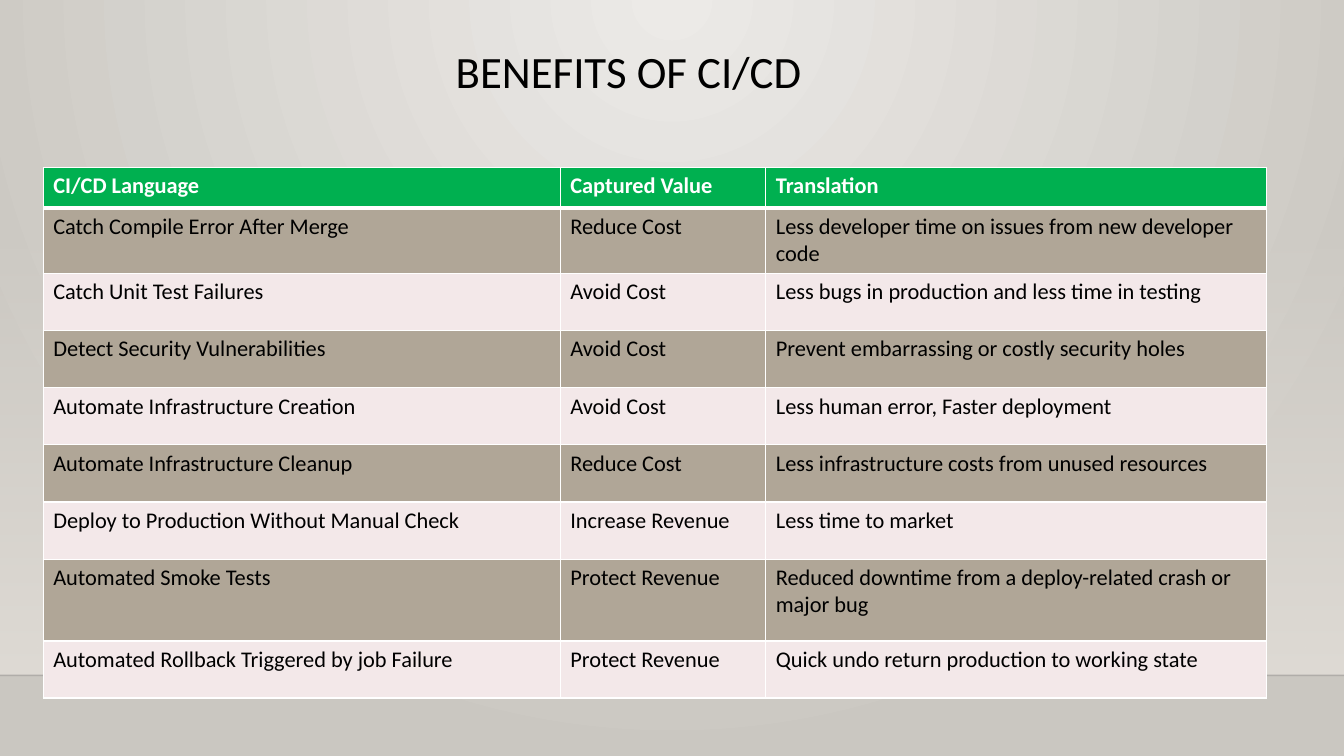
from lxml import etree
from pptx import Presentation
from pptx.dml.color import RGBColor
from pptx.enum.shapes import MSO_CONNECTOR, MSO_SHAPE
from pptx.enum.text import MSO_ANCHOR, MSO_AUTO_SIZE, PP_ALIGN
from pptx.oxml.ns import qn
from pptx.util import Cm, Pt

LINE = MSO_CONNECTOR.STRAIGHT
RECT = MSO_SHAPE.RECTANGLE
TOP = MSO_ANCHOR.TOP
LEFT = PP_ALIGN.LEFT
FIXED = MSO_AUTO_SIZE.NONE

TITLE = "BENEFITS OF CI/CD"
HEAD = ("CI/CD Language", "Captured Value", "Translation")
ROWS = [
    ("Catch Compile Error After Merge", "Reduce Cost",
     "Less developer time on issues from new developer code"),
    ("Catch Unit Test Failures", "Avoid Cost",
     "Less bugs in production and less time in testing"),
    ("Detect Security Vulnerabilities", "Avoid Cost",
     "Prevent embarrassing or costly security holes"),
    ("Automate Infrastructure Creation", "Avoid Cost",
     "Less human error, Faster deployment"),
    ("Automate Infrastructure Cleanup", "Reduce Cost",
     "Less infrastructure costs from unused resources"),
    ("Deploy to Production Without Manual Check", "Increase Revenue",
     "Less time to market"),
    ("Automated Smoke Tests", "Protect Revenue",
     "Reduced downtime from a deploy-related crash or major bug"),
    ("Automated Rollback Triggered by job Failure", "Protect Revenue",
     "Quick undo return production to working state"),
]

FONT = "Calibri"
BLACK, WHITE, GREEN = "000000", "FFFFFF", "00B050"
BANDS = ("B0A697", "F3E8E9")
WIDE, HIGH = 33.87, 19.05
FLOOR = 17.02
WALL = 5.61
COLS = (13.03, 5.18, 12.62)
HEAD_H, ROW_H = 1.02, 1.44
TALL = {1: 1.65, 7: 2.06}
EDGES = ("a:lnL", "a:lnR", "a:lnT", "a:lnB")


def tint(color, value):
    """Set a colour from a hex string."""
    color.rgb = RGBColor.from_string(value)


def fade(node, percent):
    """Set the opacity of a colour element."""
    etree.SubElement(node, qn("a:alpha"), val=str(percent * 1000))


def blend(fill, first, last):
    """Give a fill two gradient stops."""
    fill.gradient()
    for stop, place, value in zip(fill.gradient_stops, (0, 1), (first, last)):
        stop.position = place
        tint(stop.color, value)


def write(frame, text, size, color, bold=False):
    """Add one formatted run to the first paragraph."""
    para = frame.paragraphs[0]
    run = para.add_run()
    run.text = text
    run.font.name, run.font.size, run.font.bold = FONT, Pt(size), bold
    tint(run.font.color, color)
    return para


def border(cell, edge, width):
    """Draw one white cell border."""
    line = etree.SubElement(cell._tc.get_or_add_tcPr(), qn(edge),
                            w=str(Pt(width)))
    fill = etree.SubElement(line, qn("a:solidFill"))
    etree.SubElement(fill, qn("a:srgbClr"), val=WHITE)


def paint(slide):
    """Draw the radial backdrop, the wall glow and the floor line."""
    blend(slide.background.fill, "ECEAE7", "CAC7C1")
    grad = slide.element.find(".//" + qn("a:gradFill"))
    grad.remove(grad.find(qn("a:lin")))
    ring = etree.SubElement(grad, qn("a:path"), path="circle")
    etree.SubElement(ring, qn("a:fillToRect"), l="43000", r="43000", b="100000")

    wall = slide.shapes.add_shape(RECT, 0, Cm(WALL), Cm(WIDE), Cm(FLOOR - WALL))
    wall.shadow.inherit = False
    wall.line.fill.background()
    blend(wall.fill, "DFDBD5", "DFDBD5")
    wall.fill.gradient_angle = 270
    fade(wall.element.spPr.find(".//" + qn("a:srgbClr")), 0)

    floor = slide.shapes.add_connector(LINE, 0, Cm(FLOOR), Cm(WIDE), Cm(FLOOR))
    floor.line.width = Pt(1)
    tint(floor.line.color, "000001")
    props = floor.element.spPr
    fade(props.find(".//" + qn("a:srgbClr")), 20)
    etree.SubElement(props, qn("a:effectLst"))


def head(slide):
    """Place and fill the title."""
    title = slide.shapes.title
    title.left, title.top = Cm(11.23), Cm(1.12)
    title.width, title.height = Cm(23.88), Cm(3.66)
    frame = title.text_frame
    frame.auto_size, frame.vertical_anchor = FIXED, TOP
    para = write(frame, TITLE, 32, BLACK)
    para.alignment, para.line_spacing = LEFT, 0.9


def grid(slide):
    """Build the banded table of benefits."""
    tall = [HEAD_H] + [TALL.get(i, ROW_H) for i in range(1, len(ROWS) + 1)]
    table = slide.shapes.add_table(
        len(tall), len(COLS), Cm(1.09), Cm(4.22),
        Cm(sum(COLS)), Cm(sum(tall))).table
    for col, width in zip(table.columns, COLS):
        col.width = Cm(width)
    for i, texts in enumerate([HEAD] + ROWS):
        table.rows[i].height = Cm(tall[i])
        top = i == 0
        for j, text in enumerate(texts):
            cell = table.cell(i, j)
            for edge in EDGES:
                thick = (top and edge == "a:lnB") or (i == 1 and edge == "a:lnT")
                border(cell, edge, 3 if thick else 1)
            cell.fill.solid()
            tint(cell.fill.fore_color, GREEN if top else BANDS[(i - 1) % 2])
            write(cell.text_frame, text, 16, WHITE if top else BLACK, top)


deck = Presentation()
deck.slide_width, deck.slide_height = Cm(WIDE), Cm(HIGH)
page = deck.slides.add_slide(deck.slide_layouts[5])
paint(page)
head(page)
grid(page)
deck.save("out.pptx")
